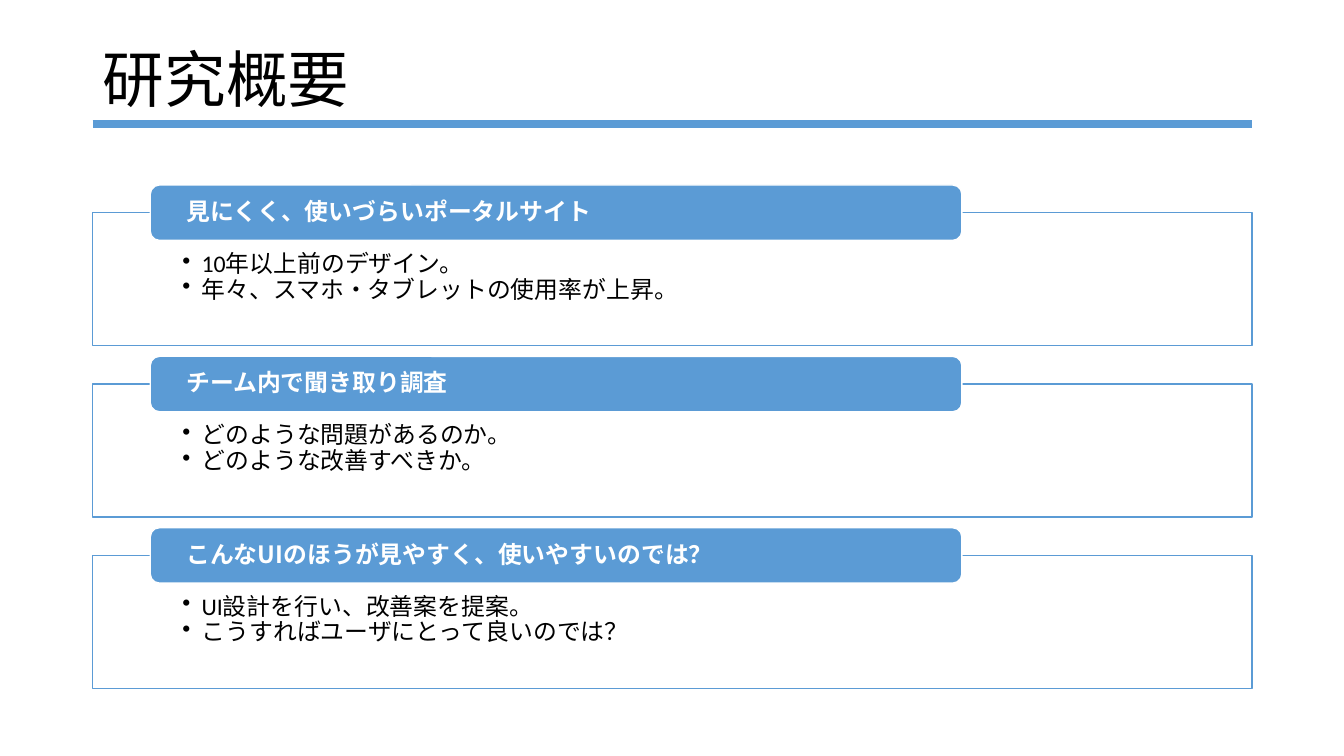
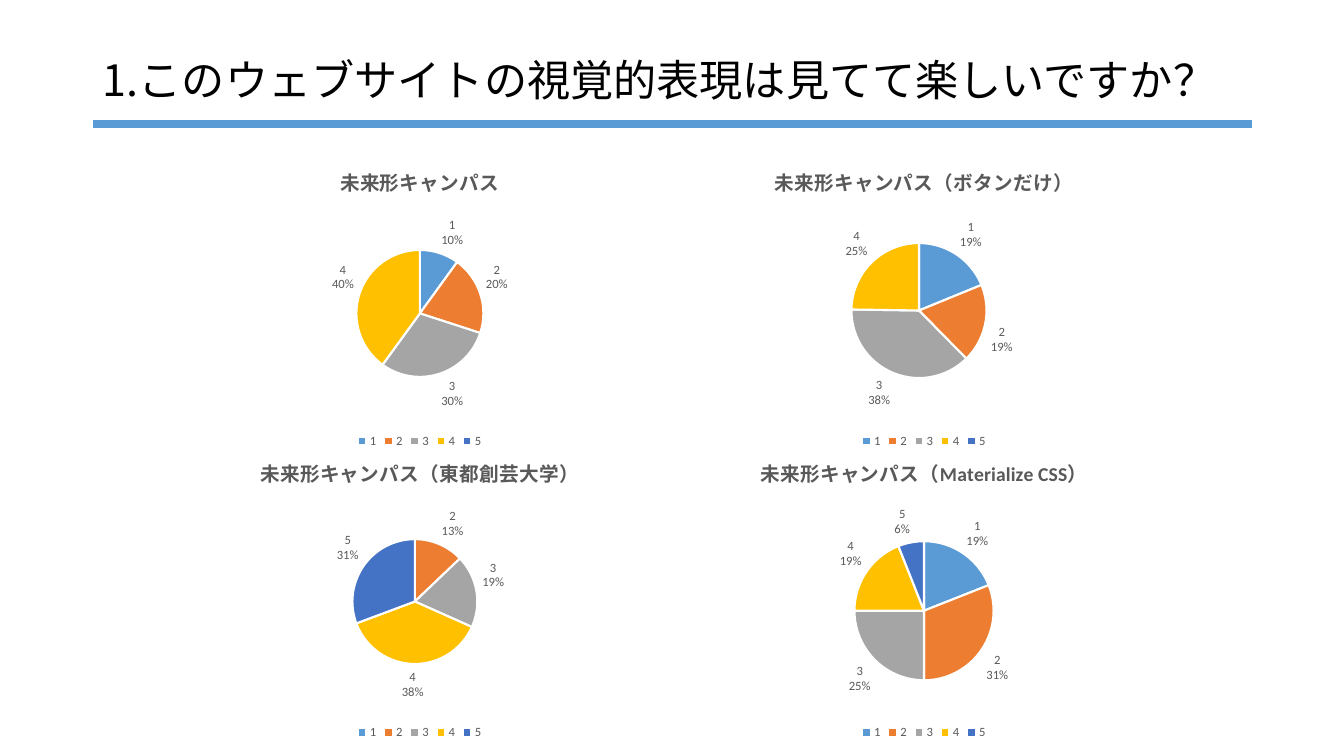
from pptx import Presentation, util as u
from pptx.chart import data as chart_data
from pptx.dml import color
from pptx.enum import chart as charts, shapes, text
from pptx.oxml import parse_xml
from pptx.oxml.ns import nsdecls, qn

SLIDE_W, SLIDE_H = 13.33, 7.5
MARGIN = 0.92
CONTENT_W = 11.5
TITLE_TOP, TITLE_H = 0.4, 0.83
CARD_TOP, CARD_H, CARD_PITCH = 2.11, 1.32, 1.7
TAB_INDENT, TAB_H, TAB_SHARE = 0.57, 0.55, 0.7
CHART_W, CHART_H = 5, 3
CHART_LEFT, CHART_TOP, CHART_PITCH = (SLIDE_W - 2 * CHART_W) / 2, 1.49, 2.89

COLORS = {
    "ink": "000000", "paper": "FFFFFF", "accent": "5B9BD5", "muted": "595959",
    "1": "5B9BD5", "2": "ED7D31", "3": "A5A5A5", "4": "FFC000", "5": "4472C4",
}
LATIN, JAPANESE = "Calibri", "Noto Sans CJK JP"

TOPICS = [
    ("見にくく、使いづらいポータルサイト",
     ["10年以上前のデザイン。", "年々、スマホ・タブレットの使用率が上昇。"]),
    ("チーム内で聞き取り調査",
     ["どのような問題があるのか。", "どのような改善すべきか。"]),
    ("こんなUIのほうが見やすく、使いやすいのでは？",
     ["UI設計を行い、改善案を提案。", "こうすればユーザにとって良いのでは？"]),
]

RATINGS = ["1", "2", "3", "4", "5"]
# Each survey: title, votes, pie centre as shares of the chart, diameter in inches.
SURVEYS = [
    [("未来形キャンパス", [10, 20, 30, 40, 0], (0.5, 0.54), 1.26),
     ("未来形キャンパス（ボタンだけ）", [19, 19, 38, 25, 0], (0.49, 0.53), 1.34)],
    [("未来形キャンパス（東都創芸大学）", [0, 13, 19, 38, 31], (0.49, 0.53), 1.24),
     ("未来形キャンパス（Materialize CSS）", [19, 31, 25, 19, 6], (0.5, 0.56), 1.38)],
]


def rgb(name):
    """Return the named colour."""
    return color.RGBColor.from_string(COLORS[name])


def style_runs(paragraph, size, ink, latin=LATIN, bold=False):
    """Format every run of a paragraph for Latin and Japanese letters."""
    for run in paragraph.runs:
        run.font.size, run.font.bold, run.font.name = u.Pt(size), bold, latin
        run.font.color.rgb = rgb(ink)
        east_asian = run.font._element.makeelement(qn("a:ea"), {"typeface": JAPANESE})
        run.font._element.find(qn("a:latin")).addnext(east_asian)


def add_titled_slide(deck, heading, size):
    """Add a slide with the shared title style and rule."""
    slide = deck.slides.add_slide(deck.slide_layouts[5])
    title = slide.shapes.title
    title.left, title.top = u.Inches(MARGIN), u.Inches(TITLE_TOP)
    title.width, title.height = u.Inches(CONTENT_W), u.Inches(TITLE_H)
    frame = title.text_frame
    frame.text = heading
    frame.word_wrap, frame.auto_size = True, text.MSO_AUTO_SIZE.NONE
    frame.vertical_anchor = text.MSO_ANCHOR.MIDDLE
    paragraph = frame.paragraphs[0]
    paragraph.alignment, paragraph.line_spacing = text.PP_ALIGN.LEFT, 0.9
    style_runs(paragraph, size, "ink", JAPANESE)

    rule_y = u.Inches(TITLE_TOP + TITLE_H)
    rule = slide.shapes.add_connector(
        shapes.MSO_CONNECTOR.STRAIGHT, u.Inches(MARGIN), rule_y,
        u.Inches(MARGIN + CONTENT_W), rule_y)
    rule.line.color.rgb, rule.line.width = rgb("accent"), u.Pt(6)
    properties = rule._element.spPr
    properties.append(properties.makeelement(qn("a:effectLst"), {}))
    return slide


def add_panel(slide, kind, box, fill, line, insets):
    """Add a filled, outlined shape and return its text frame."""
    panel = slide.shapes.add_shape(kind, *(u.Inches(length) for length in box))
    panel.shadow.inherit = False
    panel.fill.solid()
    panel.fill.fore_color.rgb = rgb(fill)
    panel.line.color.rgb, panel.line.width = rgb(line), u.Pt(1)
    frame = panel.text_frame
    frame.word_wrap = True
    frame.margin_left, frame.margin_top, frame.margin_right, frame.margin_bottom = (
        u.Inches(inset) for inset in insets)
    return frame


def add_bullet(paragraph):
    """Give a paragraph a hanging round bullet."""
    properties = paragraph._p.get_or_add_pPr()
    indent = u.Inches(0.19)
    properties.set("marL", str(indent))
    properties.set("indent", str(-indent))
    properties.append(properties.makeelement(qn("a:buChar"), {"char": "•"}))


def add_topic(slide, top, heading, points):
    """Add an outlined list with a heading tab over its top edge."""
    body = add_panel(slide, shapes.MSO_SHAPE.RECTANGLE, (MARGIN, top, CONTENT_W, CARD_H),
                     "paper", "accent", (0.89, 0.39, 0.89, 0.13))
    body.vertical_anchor = text.MSO_ANCHOR.TOP
    body.text = "\n".join(points)
    for paragraph in body.paragraphs:
        paragraph.alignment, paragraph.line_spacing = text.PP_ALIGN.LEFT, 0.9
        add_bullet(paragraph)
        style_runs(paragraph, 17, "ink")

    tab = add_panel(slide, shapes.MSO_SHAPE.ROUNDED_RECTANGLE,
                    (MARGIN + TAB_INDENT, top - TAB_H / 2, CONTENT_W * TAB_SHARE, TAB_H),
                    "accent", "paper", (0.33, 0, 0.33, 0))
    tab.vertical_anchor = text.MSO_ANCHOR.MIDDLE
    tab.text = heading
    paragraph = tab.paragraphs[0]
    paragraph.alignment, paragraph.line_spacing = text.PP_ALIGN.LEFT, 0.9
    style_runs(paragraph, 17, "paper", JAPANESE, bold=True)


def style_small(font):
    """Format chart labels and legends."""
    font.size, font.name = u.Pt(9), LATIN
    font.color.rgb = rgb("muted")


def place_pie(chart, centre, diameter):
    """Fix the pie's centre and diameter within its chart."""
    width, height = diameter / CHART_W, diameter / CHART_H
    shares = {"x": centre[0] - width / 2, "y": centre[1] - height / 2,
              "w": width, "h": height}
    values = "".join(f'<c:{key} val="{share:.3f}"/>' for key, share in shares.items())
    layout = parse_xml(
        f'<c:layout {nsdecls("c")}><c:manualLayout><c:layoutTarget val="inner"/>'
        f'<c:xMode val="edge"/><c:yMode val="edge"/>{values}</c:manualLayout></c:layout>')
    plot_area = chart._chartSpace.chart.plotArea
    for automatic in plot_area.findall(qn("c:layout")):
        plot_area.remove(automatic)
    plot_area.insert(0, layout)


def label_slices(series, votes):
    """Show rating and percentage outside each slice that has votes."""
    labels = series.data_labels
    labels.show_value = False
    labels.show_category_name = labels.show_percentage = True
    labels.position = charts.XL_LABEL_POSITION.OUTSIDE_END
    style_small(labels.font)
    unused = [index for index, vote in enumerate(votes) if vote == 0]
    for place, index in enumerate(unused):
        labels._element.insert(place, parse_xml(
            f'<c:dLbl {nsdecls("c")}><c:idx val="{index}"/><c:delete val="1"/></c:dLbl>'))


def add_survey(slide, left, top, heading, votes, centre, diameter):
    """Add one pie of survey ratings."""
    results = chart_data.CategoryChartData()
    results.categories = RATINGS
    results.add_series("Series 1", votes)
    chart = slide.shapes.add_chart(
        charts.XL_CHART_TYPE.PIE, u.Inches(left), u.Inches(top),
        u.Inches(CHART_W), u.Inches(CHART_H), results).chart
    chart.font.size, chart.font.name = u.Pt(10), LATIN
    chart.has_title = True
    chart.chart_title.include_in_layout = False
    title = chart.chart_title.text_frame
    title.text = heading
    style_runs(title.paragraphs[0], 14, "muted", bold=True)

    chart.has_legend = True
    chart.legend.position = charts.XL_LEGEND_POSITION.BOTTOM
    chart.legend.include_in_layout = False
    style_small(chart.legend.font)

    plot = chart.plots[0]
    plot.vary_by_categories = True
    series = plot.series[0]
    for index, rating in enumerate(RATINGS):
        wedge = series.points[index].format
        wedge.fill.solid()
        wedge.fill.fore_color.rgb = rgb(rating)
        wedge.line.color.rgb, wedge.line.width = rgb("paper"), u.Pt(1.5)
    label_slices(series, votes)
    place_pie(chart, centre, diameter)


def main():
    """Build and save the deck."""
    deck = Presentation()
    deck.slide_width, deck.slide_height = u.Inches(SLIDE_W), u.Inches(SLIDE_H)

    overview = add_titled_slide(deck, "研究概要", 44)
    for row, (heading, points) in enumerate(TOPICS):
        add_topic(overview, CARD_TOP + row * CARD_PITCH, heading, points)

    survey = add_titled_slide(deck, "1.このウェブサイトの視覚的表現は見てて楽しいですか？", 30.8)
    for row, pair in enumerate(SURVEYS):
        for column, result in enumerate(pair):
            add_survey(survey, CHART_LEFT + column * CHART_W,
                       CHART_TOP + row * CHART_PITCH, *result)

    deck.save("out.pptx")


if __name__ == "__main__":
    main()
